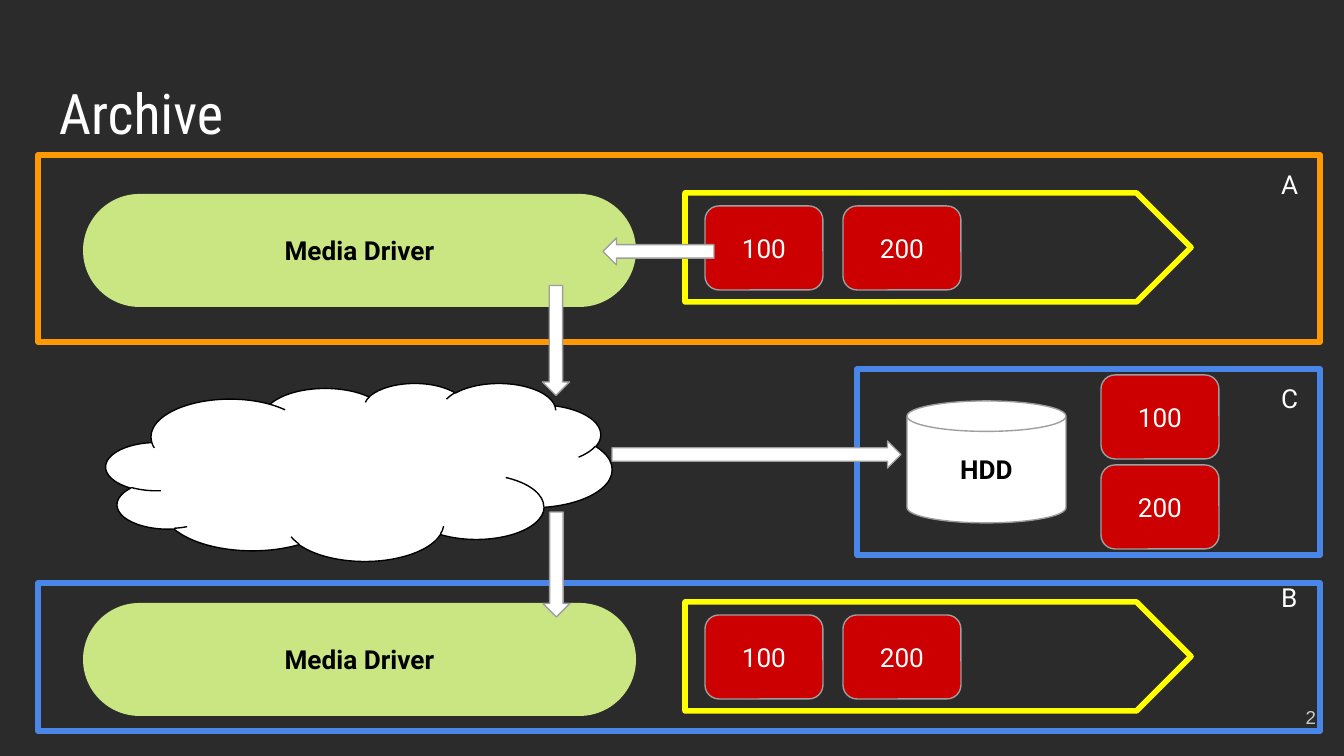
from dataclasses import dataclass

from pptx import Presentation
from pptx.dml.color import RGBColor
from pptx.enum.shapes import MSO_SHAPE
from pptx.enum.text import MSO_ANCHOR, PP_ALIGN
from pptx.util import Emu, Pt

EMU_PER_PX = 9144000 / 1344


@dataclass(frozen=True)
class Theme:
    background: str = "2B2B2B"
    white: str = "FFFFFF"
    black: str = "000000"
    grey: str = "9E9E9E"
    number: str = "CACACA"
    orange: str = "FF9900"
    blue: str = "4A86E8"
    yellow: str = "FFFF00"
    green: str = "CAE682"
    red: str = "CC0000"
    title_font: str = "Roboto Condensed"
    body_font: str = "Roboto"
    number_font: str = "Arial"
    title_size: int = 30
    body_size: int = 14
    number_size: int = 10
    thick: float = 3
    thin: float = 0.75


THEME = Theme()
LANE_STEP = 409
BLOCK_W, BLOCK_H = 118, 84
INSET = 13


def px(n):
    return Emu(round(n * EMU_PER_PX))


def rgb(color):
    return RGBColor.from_string(color)


def write(sp, text, color, align=PP_ALIGN.CENTER, anchor=MSO_ANCHOR.MIDDLE,
          font=THEME.body_font, size=THEME.body_size, bold=False):
    tf = sp.text_frame
    frame = {"word_wrap": True, "vertical_anchor": anchor}
    frame.update({f"margin_{side}": px(INSET)
                  for side in ("left", "top", "right", "bottom")})
    for name, value in frame.items():
        setattr(tf, name, value)
    p = tf.paragraphs[0]
    p.alignment = align
    r = p.add_run()
    r.text = text
    for name, value in {"name": font, "size": Pt(size), "bold": bold}.items():
        setattr(r.font, name, value)
    r.font.color.rgb = rgb(color)


def add_shape(s, kind, box, fill=None, line=None, width=THEME.thin, adj=()):
    sp = s.shapes.add_shape(kind, *map(px, box))
    sp.shadow.inherit = False
    if fill:
        sp.fill.solid()
        sp.fill.fore_color.rgb = rgb(fill)
    else:
        sp.fill.background()
    if line:
        sp.line.color.rgb = rgb(line)
        sp.line.width = Pt(width)
    else:
        sp.line.fill.background()
    for i, value in enumerate(adj):
        sp.adjustments[i] = value
    return sp


def add_text(s, text, box, color=THEME.white, align=PP_ALIGN.LEFT,
             anchor=MSO_ANCHOR.TOP, **font):
    write(s.shapes.add_textbox(*map(px, box)), text, color, align, anchor, **font)


def add_host(s, name, box, color, label_top):
    """Outlined frame with its letter near the right edge."""
    add_shape(s, MSO_SHAPE.FLOWCHART_PROCESS, box, line=color, width=THEME.thick)
    add_text(s, name, (1268, label_top, 52, 58))


def add_block(s, text, left, top):
    sp = add_shape(s, MSO_SHAPE.ROUNDED_RECTANGLE, (left, top, BLOCK_W, BLOCK_H),
                   THEME.red, THEME.grey, adj=[0.167])
    write(sp, text, THEME.white)


def add_lane(s, dy):
    """Media driver and its log of two blocks, moved down by dy."""
    driver = add_shape(s, MSO_SHAPE.ROUNDED_RECTANGLE, (83, 194 + dy, 553, 113),
                       THEME.green, adj=[0.5])
    write(driver, "Media Driver", THEME.black, bold=True)
    add_shape(s, MSO_SHAPE.PENTAGON, (685, 193 + dy, 506, 109),
              line=THEME.yellow, width=THEME.thick, adj=[0.5])
    for i, text in enumerate(("100", "200")):
        add_block(s, text, 705 + 138 * i, 206 + dy)


def add_disk(s):
    sp = add_shape(s, MSO_SHAPE.CAN, (907, 401, 159, 122), THEME.white,
                   THEME.grey, adj=[0.25])
    write(sp, "HDD", THEME.black, bold=True)
    for i, text in enumerate(("100", "200")):
        add_block(s, text, 1101, 375 + 90 * i)


def add_arrow(s, left, top, length, rotation=0):
    """Left-pointing arrow, turned clockwise about its centre."""
    sp = add_shape(s, MSO_SHAPE.LEFT_ARROW, (left, top, length, 27),
                   THEME.white, THEME.grey, adj=[0.5, 0.5])
    sp.rotation = rotation


def main():
    prs = Presentation()
    prs.slide_width, prs.slide_height = px(1344), px(756)
    s = prs.slides.add_slide(prs.slide_layouts[6])
    s.background.fill.solid()
    s.background.fill.fore_color.rgb = rgb(THEME.background)

    add_text(s, "Archive", (46, 66, 1253, 85), font=THEME.title_font,
             size=THEME.title_size)
    add_host(s, "A", (38, 155, 1282, 187), THEME.orange, 155)
    add_host(s, "B", (38, 583, 1282, 148), THEME.blue, 568)
    add_shape(s, MSO_SHAPE.CLOUD, (106, 383, 506, 178), THEME.white, THEME.black)
    for dy in (0, LANE_STEP):
        add_lane(s, dy)
    add_host(s, "C", (857, 369, 463, 186), THEME.blue, 369)
    add_disk(s)

    for left, top, length, rotation in ((603, 238, 111, 0), (501, 327, 110, 270),
                                        (504, 551, 105, 270), (612, 441, 289, 180)):
        add_arrow(s, left, top, length, rotation)
    add_text(s, "2", (1248, 688, 81, 58), THEME.number, PP_ALIGN.RIGHT,
             MSO_ANCHOR.MIDDLE, font=THEME.number_font, size=THEME.number_size)
    prs.save("out.pptx")


if __name__ == "__main__":
    main()
